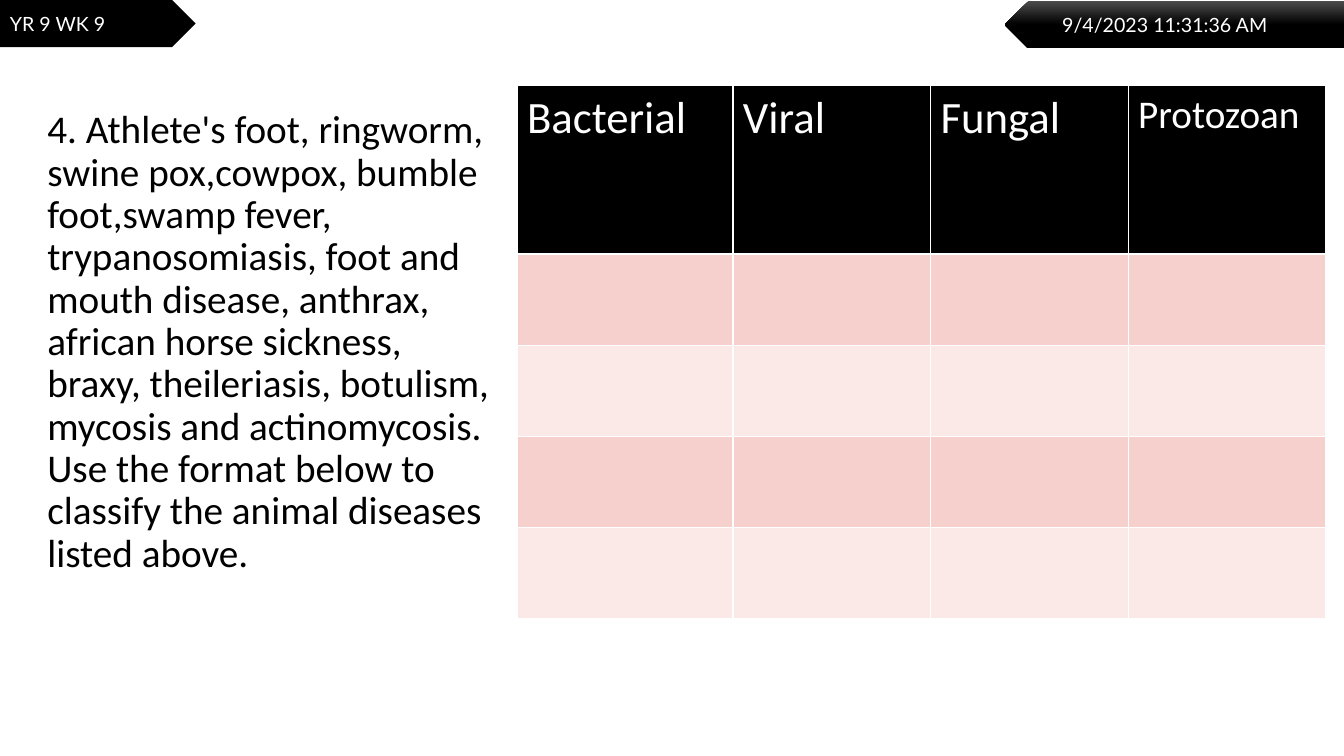
from lxml.etree import SubElement
from pptx import Presentation
from pptx.dml.color import RGBColor
from pptx.enum.shapes import MSO_SHAPE as Preset
from pptx.enum.text import MSO_ANCHOR as Anchor, MSO_AUTO_SIZE as AutoSize, PP_ALIGN as Align
from pptx.oxml.ns import qn
from pptx.util import Cm, Pt

COLOURS = {
    "black": "000000",
    "grey": "4B4B4B",
    "white": "FFFFFF",
    "rose": "F6D0CD",
    "blush": "FBE9E8",
}

QUESTION = (
    "4. Athlete's foot, ringworm, swine pox,cowpox, bumble foot,swamp fever, "
    "trypanosomiasis, foot and mouth disease, anthrax, african horse sickness, "
    "braxy, theileriasis, botulism, mycosis and actinomycosis. Use the format "
    "below to classify the animal diseases listed above."
)


def colour(name):
    return RGBColor.from_string(COLOURS[name])


def write(frame, text, size, font="Calibri", ink="black", spacing=None, before=None):
    paragraph = frame.paragraphs[0]
    paragraph.alignment = Align.LEFT
    paragraph.line_spacing = spacing
    paragraph.space_before = before
    run = paragraph.add_run()
    run.text = text
    run.font.name = font
    run.font.size = Pt(size)
    run.font.bold = False
    run.font.color.rgb = colour(ink)
    return paragraph


class DiseaseSlide:
    def __init__(self, deck):
        self.slide = deck.slides.add_slide(deck.slide_layouts[1])
        title = self.slide.shapes.title.element
        title.getparent().remove(title)

    def banner(self, left, top, width, height, flipped=False, shaded=False):
        banner = self.slide.shapes.add_shape(
            Preset.PENTAGON, Cm(left), Cm(top), Cm(width), Cm(height))
        banner.shadow.inherit = False
        banner.line.fill.background()
        if flipped:
            banner.element.spPr.find(qn("a:xfrm")).set("flipH", "1")
        if not shaded:
            banner.fill.solid()
            banner.fill.fore_color.rgb = colour("black")
            return
        banner.fill.gradient()
        banner.fill.gradient_angle = 270
        for stop, name, position in zip(banner.fill.gradient_stops, ("grey", "black"), (0, 0.5)):
            stop.color.rgb = colour(name)
            stop.position = position

    def label(self, text, left, top):
        frame = self.slide.shapes.add_textbox(Cm(left), Cm(top), Cm(7.34), Cm(0.86)).text_frame
        frame.word_wrap = True
        frame.auto_size = AutoSize.SHAPE_TO_FIT_TEXT
        write(frame, text, 14, font="Lato", ink="white")

    def question(self, text, left, top, width, height):
        body = self.slide.placeholders[1]
        body.left, body.top, body.width, body.height = map(Cm, (left, top, width, height))
        frame = body.text_frame
        frame.auto_size = AutoSize.NONE
        frame.vertical_anchor = Anchor.TOP
        paragraph = write(frame, text, 28, spacing=0.9, before=Pt(10))
        properties = paragraph._p.get_or_add_pPr()
        properties.set("marL", "0")
        properties.set("indent", "0")
        SubElement(properties, qn("a:buNone"))

    def table(self, headings, left, top, widths, heights):
        table = self.slide.shapes.add_table(
            len(heights), len(widths), Cm(left), Cm(top),
            Cm(sum(widths)), Cm(sum(heights))).table
        for column, width in zip(table.columns, widths):
            column.width = Cm(width)
        for index, (row, height) in enumerate(zip(table.rows, heights)):
            row.height = Cm(height)
            fill = "black" if index == 0 else ("blush", "rose")[index % 2]
            for cell in row.cells:
                cell.fill.solid()
                cell.fill.fore_color.rgb = colour(fill)
        for cell, (heading, size) in zip(table.rows[0].cells, headings.items()):
            write(cell.text_frame, heading, size, ink="white")


def main():
    deck = Presentation()
    deck.slide_width, deck.slide_height = Cm(33.87), Cm(19.05)
    page = DiseaseSlide(deck)
    page.banner(0, 0, 4.93, 1.19)
    page.banner(25.32, 0.03, 8.55, 1.19, flipped=True, shaded=True)
    page.label("9/4/2023 11:31:36 AM", 26.52, 0.2)
    page.label("YR 9 WK 9", 0, 0.18)
    page.question(QUESTION, 0.94, 2.64, 11.84, 13.59)
    page.table({"Bacterial": 32, "Viral": 32, "Fungal": 32, "Protozoan": 28},
               13.03, 2.16, [5.44] + [4.98] * 3, [4.24] + [2.3] * 4)
    deck.save("out.pptx")


if __name__ == "__main__":
    main()
